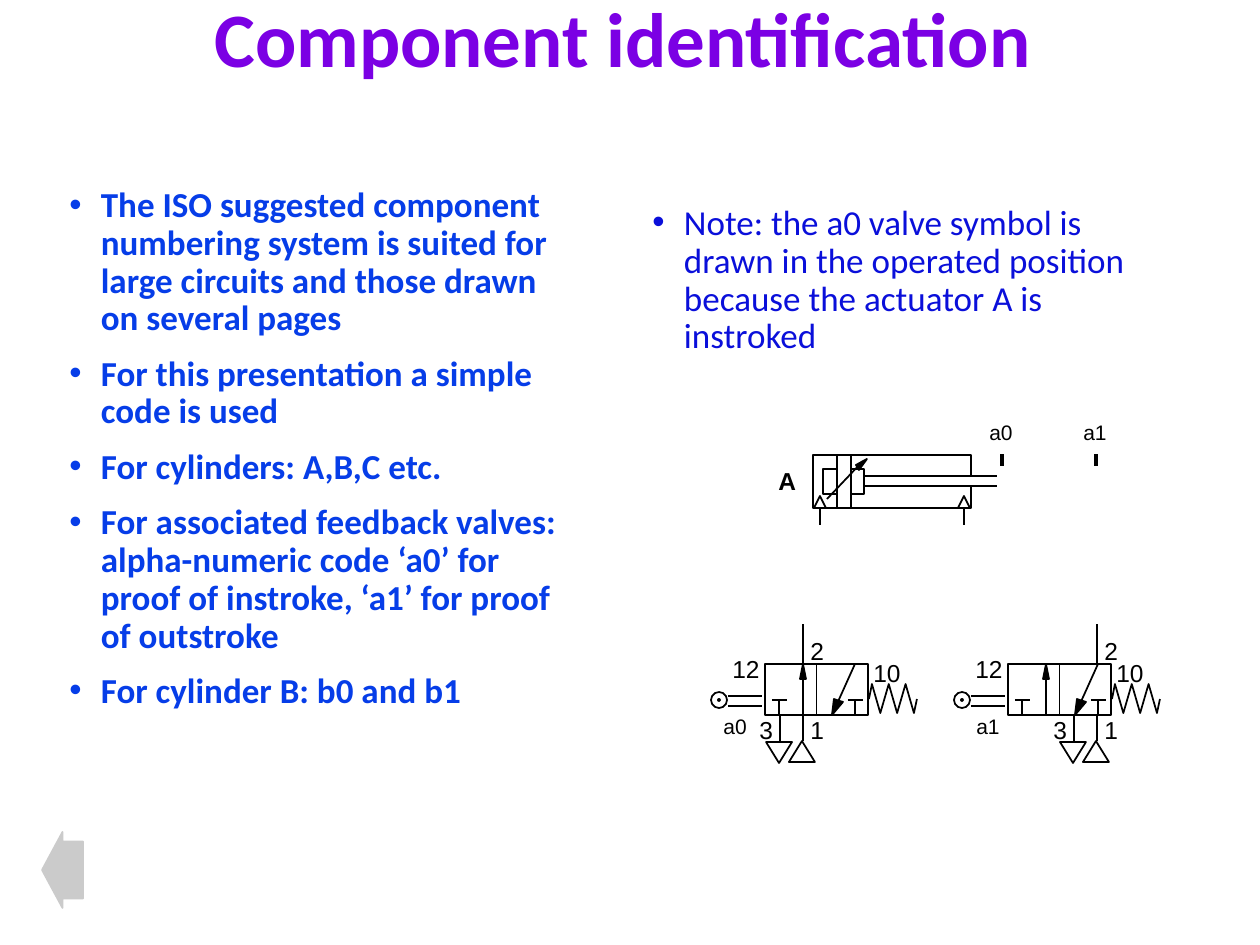
from lxml.etree import SubElement
from pptx import Presentation
from pptx.dml.color import RGBColor
from pptx.enum.shapes import MSO_CONNECTOR, MSO_SHAPE
from pptx.enum.text import MSO_ANCHOR
from pptx.oxml.ns import qn
from pptx.util import Pt

SCALE = 914400 / 126
BLACK = "000000"

# Content
TITLE = "Component identification"
POINTS = [
    "The ISO suggested component numbering system is suited for large circuits "
    "and those drawn on several pages",
    "For this presentation a simple code is used",
    "For cylinders: A,B,C etc.",
    "For associated feedback valves: alpha-numeric code ‘a0’ for proof of "
    "instroke, ‘a1’ for proof of outstroke",
    "For cylinder B: b0 and b1",
]
NOTE = ["Note: the a0 valve symbol is drawn in the operated position because "
        "the actuator A is instroked"]
# name, left of body, port shift, left of name
VALVES = [("a0", 765, 0, -54), ("a1", 1008, 51, -44)]
LABEL = {12: (49, 38), 14: (53, 42)}


def px(n):
    return round(n * SCALE)


def color(code):
    return RGBColor.from_string(code)


def style(shape, fill=None, line=BLACK):
    shape.shadow.inherit = False
    if fill:
        shape.fill.solid()
        shape.fill.fore_color.rgb = color(fill)
    else:
        shape.fill.background()
    shape.line.color.rgb = color(line)
    shape.line.width = Pt(1)
    return shape


def write(par, text, font, size, code, bold=False):
    run = par.add_run()
    run.text = text
    run.font.name, run.font.size, run.font.bold = font, Pt(size), bold
    run.font.color.rgb = color(code)


def text_box(home, x, y, w, h, wrap=True):
    frame = home.add_textbox(px(x), px(y), px(w), px(h)).text_frame
    frame.word_wrap = wrap
    return frame


def bullet_list(home, items, box, code, bold):
    frame = text_box(home, *box)
    for i, item in enumerate(items):
        par = frame.add_paragraph() if i else frame.paragraphs[0]
        props = par._p.get_or_add_pPr()
        props.set("marL", str(px(31.5)))
        props.set("indent", str(px(-31.5)))
        tint = SubElement(props, qn("a:buClr"))
        SubElement(tint, qn("a:srgbClr"), val=code)
        SubElement(props, qn("a:buFont"), typeface="Arial")
        SubElement(props, qn("a:buChar"), char="•")
        par.line_spacing = 0.9
        par.space_before = Pt(10 if i else 0)
        write(par, item, "Calibri", 20, code, bold)


class Pen:
    """Draws a symbol in one group, measured from a given corner."""

    def __init__(self, home, x=0, y=0):
        self.group = home.add_group_shape().shapes
        self.x, self.y = x, y

    def at(self, x, y):
        return px(self.x + x), px(self.y + y)

    def line(self, x1, y1, x2, y2, width=1):
        link = self.group.add_connector(
            MSO_CONNECTOR.STRAIGHT, *self.at(x1, y1), *self.at(x2, y2))
        link.line.color.rgb = color(BLACK)
        link.line.width = Pt(width)
        SubElement(link._element.spPr, qn("a:effectLst"))
        return link

    def shape(self, kind, x, y, w, h, fill=None):
        return style(self.group.add_shape(kind, *self.at(x, y), px(w), px(h)), fill)

    def trace(self, *dots, solid=False):
        first, *rest = [self.at(*dot) for dot in dots]
        form = self.group.build_freeform(*first)
        form.add_line_segments(rest, close=solid)
        return style(form.convert_to_shape(), BLACK if solid else None)

    def label(self, text, x, y, size=14, bold=False, w=None):
        wide, high = LABEL[size]
        frame = text_box(self.group, self.x + x, self.y + y, w or wide, high, False)
        write(frame.paragraphs[0], text, "Arial", size, BLACK, bold)


def draw_cylinder(home):
    pen = Pen(home)
    # Rod, piston and cushions
    for y in (476, 486):
        pen.line(865, y, 997, y)
    for x, side in ((837, -14), (851, 13)):
        pen.line(x, 455, x, 508)
        pen.trace((x, 469), (x + side, 469), (x + side, 494), (x, 494))
    # Air ports and body
    for x in (820, 964):
        pen.line(x, 508, x, 525)
        pen.shape(MSO_SHAPE.ISOSCELES_TRIANGLE, x - 6, 496, 12, 12)
    pen.trace((971, 475), (971, 455), (813, 455), (813, 508), (971, 508), (971, 486))
    # Adjusting arrow
    pen.line(827, 499, 863, 461)
    pen.trace((856, 465), (859, 470), (867, 459), solid=True)
    # Sensing points
    for name, x in (("a0", 1002), ("a1", 1096)):
        pen.line(x, 466, x, 454, 2)
        pen.label(name, x - 25, 413, 12)
    pen.label("A", 766, 460, bold=True, w=43)


def draw_valve(home, name, left, shift, name_x):
    pen = Pen(home, left, 664)
    body = pen.shape(MSO_SHAPE.RECTANGLE, 0, 0, 103, 51)
    split = pen.line(52, 0, 52, 51)
    split.begin_connect(body, 0)
    split.end_connect(body, 2)
    # Flow arrows and blocked ports
    pen.line(38, 51, 38, 0)
    pen.trace((38, 0), (35, 15), (41, 15), solid=True)
    pen.line(90, 0, 67, 51)
    pen.trace((67, 51), (69, 35), (78, 38), solid=True)
    for x in (14, 90):
        pen.line(x, 36, x, 51)
        pen.line(x - 7, 36, x + 8, 36)
    # Outlet, supply and exhaust
    supply, vent = 38 + shift, 15 + shift
    pen.line(supply, 0, supply, -40)
    for x in (supply, vent):
        pen.line(x, 51, x, 77)
    pen.shape(MSO_SHAPE.ISOSCELES_TRIANGLE, supply - 14, 77, 26, 21)
    pen.shape(MSO_SHAPE.ISOSCELES_TRIANGLE, vent - 14, 78, 26, 21).rotation = 180
    # Spring
    coils = [(107 + 8.4 * i, 49 if i % 2 else 20) for i in range(6)]
    pen.trace((104, 35), *coils, (152, 35))
    # Roller
    pen.shape(MSO_SHAPE.OVAL, -54, 28, 16, 16)
    pen.shape(MSO_SHAPE.OVAL, -47, 35, 2, 2, BLACK)
    for y in (32, 42):
        pen.line(-37, y, -3, y)
    # Labels
    for text, x, y in (("1", supply - 5, 45), ("2", supply - 5, -34), ("3", vent - 33, 45)):
        pen.label(text, x, y, w=39)
    pen.label("12", -45, -16)
    pen.label("10", 96, -12)
    pen.label(name, name_x, 43, 12)


def main():
    deck = Presentation()
    deck.slide_width, deck.slide_height = px(1260), px(945)
    home = deck.slides.add_slide(deck.slide_layouts[6]).shapes

    # Text
    head = text_box(home, 202, -49, 1086, 183)
    head.vertical_anchor = MSO_ANCHOR.MIDDLE
    head.paragraphs[0].line_spacing = 0.9
    write(head.paragraphs[0], TITLE, "Calibri", 44, "7B00E4", True)
    bullet_list(home, POINTS, (57, 181, 535, 600), "063DE8", True)
    bullet_list(home, NOTE, (640, 199, 525, 190), "0A0FDA", False)

    # Circuit
    draw_cylinder(home)
    for valve in VALVES:
        draw_valve(home, *valve)

    # Back arrow
    back = home.add_shape(MSO_SHAPE.LEFT_ARROW, px(42), px(832), px(41), px(76))
    back.adjustments[0], back.adjustments[1] = 0.75, 0.5
    style(back, "CBCBCB", "CBCBCB")

    deck.save("out.pptx")


if __name__ == "__main__":
    main()
